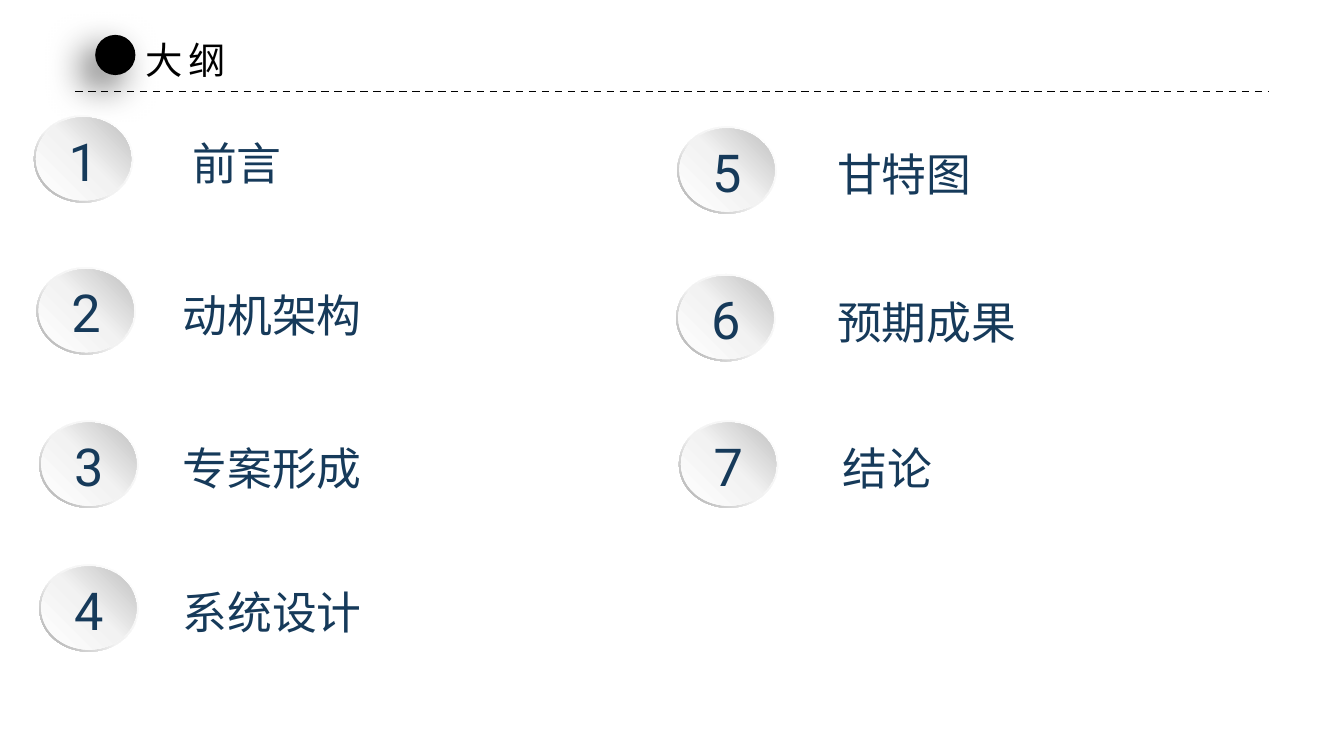
from lxml import etree
from pptx import Presentation
from pptx.dml.color import RGBColor
from pptx.enum import dml, shapes, text
from pptx.oxml import parse_xml
from pptx.oxml.ns import nsdecls, qn
from pptx.util import Cm, Pt

NAVY = "163A5A"
BLACK = "000000"
BADGE_W, BADGE_H = 1.88, 1.65
TOPICS = [
    ("1", "前言", 0.64, 2.18, 3.38, 2.62),
    ("2", "动机架构", 0.69, 5.05, 3.2, 4.09),
    ("3", "专案形成", 0.74, 7.95, 3.2, 4.09),
    ("4", "系统设计", 0.74, 10.67, 3.2, 4.09),
    ("5", "甘特图", 12.8, 2.39, 15.57, 3.56),
    ("6", "预期成果", 12.78, 5.18, 15.57, 3.99),
    ("7", "结论", 12.83, 7.95, 15.67, 2.57),
]


def color(value):
    return RGBColor.from_string(value)


def add_text(parent, box, words, size, face, ink, wrap=True):
    caption = parent.add_textbox(*map(Cm, box))
    frame = caption.text_frame
    frame.text = words
    frame.word_wrap = wrap
    frame.auto_size = text.MSO_AUTO_SIZE.SHAPE_TO_FIT_TEXT
    run = frame.paragraphs[0].runs[0]
    run.font.size = Pt(size)
    run.font.name = face
    run.font.color.rgb = color(ink)
    east_asian = etree.SubElement(run.font._element, qn("a:ea"))
    east_asian.set("typeface", face)
    return run


def add_oval(parent, kind, box):
    oval = parent.add_shape(kind, *map(Cm, box))
    oval.shadow.inherit = False
    oval.line.fill.background()
    return oval


def fill_gradient(oval, stops, angle):
    oval.fill.gradient()
    gradient = oval._element.spPr.find(qn("a:gradFill"))
    marks = "".join(
        f'<a:gs pos="{place * 1000}"><a:srgbClr val="{tone}"/></a:gs>'
        for place, tone in stops
    )
    gradient.getparent().replace(gradient, parse_xml(
        f'<a:gradFill {nsdecls("a")} rotWithShape="1"><a:gsLst>{marks}</a:gsLst>'
        f'<a:lin ang="{angle * 60000}" scaled="0"/></a:gradFill>'
    ))


def add_heading(slide, left, top, width):
    rule_y = top + 1.07
    rule = slide.shapes.add_connector(
        shapes.MSO_CONNECTOR.STRAIGHT,
        Cm(left), Cm(rule_y), Cm(left + width), Cm(rule_y),
    )
    rule.line.color.rgb = color(BLACK)
    rule.line.width = Pt(1)
    rule.line.dash_style = dml.MSO_LINE.DASH
    etree.SubElement(rule._element.spPr, qn("a:effectLst"))

    dot = add_oval(slide.shapes, shapes.MSO_SHAPE.OVAL, (left + 0.38, top, 0.76, 0.76))
    dot.fill.solid()
    dot.fill.fore_color.rgb = color(BLACK)
    dot._element.spPr.find(qn("a:effectLst")).append(parse_xml(
        f'<a:outerShdw {nsdecls("a")} blurRad="{Pt(20)}" dist="{Pt(10)}" '
        f'dir="{135 * 60000}" algn="tr" rotWithShape="0">'
        f'<a:srgbClr val="{BLACK}"><a:alpha val="60000"/></a:srgbClr></a:outerShdw>'
    ))

    title = add_text(slide.shapes, (left + 1.09, top - 0.08, 2.16, 1.12),
                     "大纲", 20, "Noto Sans CJK SC", BLACK, wrap=False)
    title.font._element.set("spc", "300")


def add_topic(slide, number, label, left, top, label_left, label_width):
    badge = slide.shapes.add_group_shape().shapes
    rim = add_oval(badge, shapes.MSO_SHAPE.DONUT, (left, top, BADGE_W, BADGE_H))
    rim.adjustments[0] = 0.049
    fill_gradient(rim, [(0, "FFFFFF"), (55, "F2F2F2"), (100, "A6A6A6")], 135)
    face = add_oval(badge, shapes.MSO_SHAPE.OVAL,
                    (left + 0.04, top + 0.04, BADGE_W - 0.08, BADGE_H - 0.08))
    fill_gradient(face, [(0, "FFFFFF"), (51, "F2F2F2"), (100, "BFBFBF")], 315)
    add_text(badge, (left + 0.41, top + 0.13, 0.74, 1.45), number, 28, "Roboto", NAVY)
    add_text(slide.shapes, (label_left, top + 0.26, label_width, 1.27),
             label, 24, "Calibri", NAVY)


def main():
    deck = Presentation()
    deck.slide_width, deck.slide_height = Cm(25.4), Cm(14.29)
    slide = deck.slides.add_slide(deck.slide_layouts[6])
    add_heading(slide, 1.42, 0.66, 22.56)
    for topic in TOPICS:
        add_topic(slide, *topic)
    deck.save("out.pptx")


if __name__ == "__main__":
    main()
